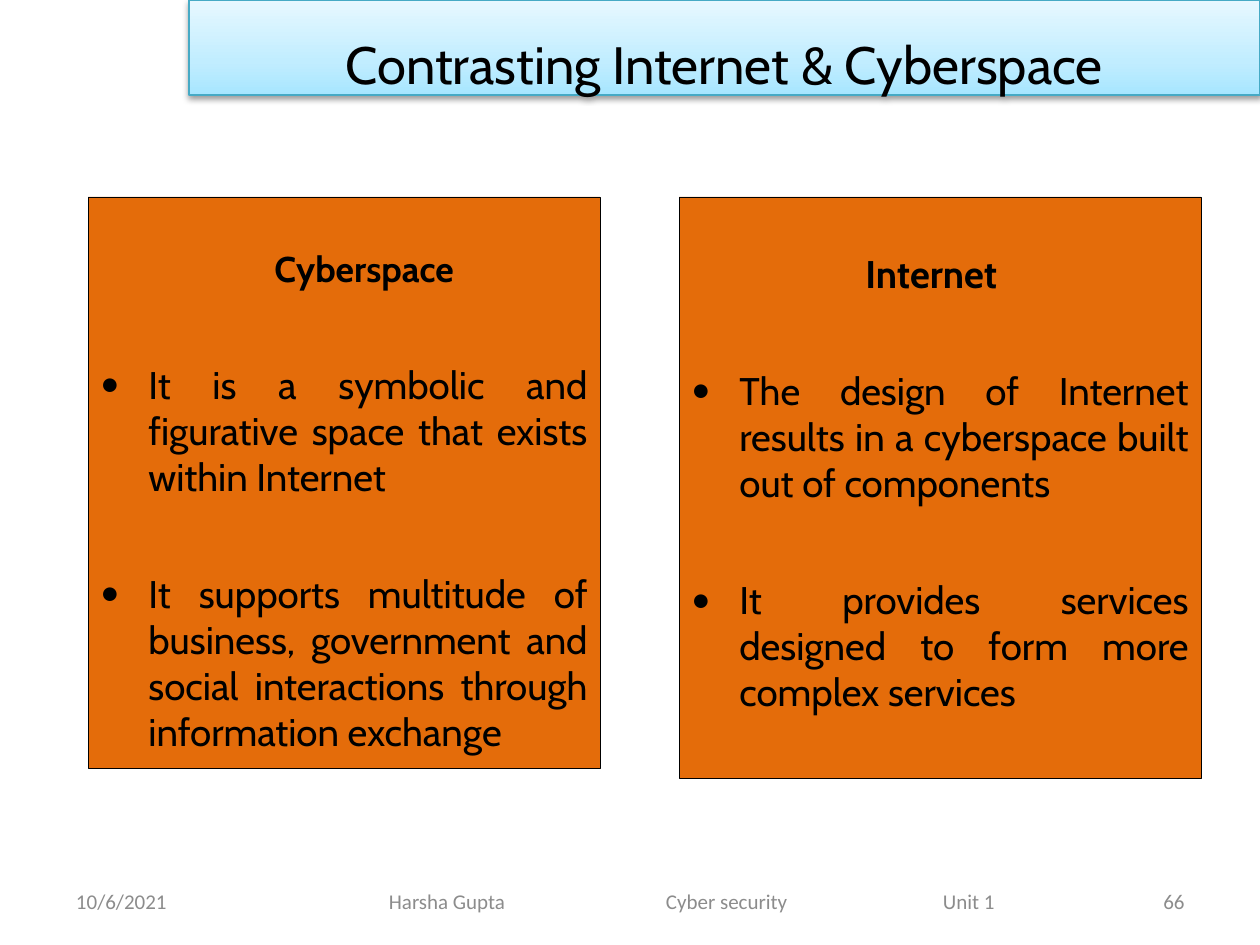
"""Build a slide that contrasts cyberspace with the Internet."""
from copy import deepcopy

from lxml import etree
from pptx import Presentation
from pptx.dml.color import RGBColor
from pptx.enum.shapes import MSO_SHAPE as Shape
from pptx.enum.text import MSO_ANCHOR as Anchor, MSO_AUTO_SIZE as AutoSize, PP_ALIGN as Align
from pptx.oxml import parse_xml
from pptx.oxml.ns import nsdecls, qn
from pptx.util import Emu, Pt

COLORS = {
    "ink": "000000",
    "card": "E46C0A",
    "footer": "8C8C8C",
    "banner_line": "46AAC5",
}
BANNER_STOPS = [(0, "A7E6FF"), (0.35, "C1EDFF"), (1, "E7F8FF")]
PX_PER_INCH = 126


def px(length):
    return Emu(round(length * 914400 / PX_PER_INCH))


def rgb(name):
    return RGBColor.from_string(COLORS[name])


class SlideBuilder:
    def __init__(self, deck):
        self.slide = deck.slides.add_slide(deck.slide_layouts[5])
        self.heading_font = "Cabin"
        self.footer_font = "Calibri"

    def style(self, paragraph, size, font, color="ink", bold=False):
        for run in paragraph.runs:
            run.font.size = Pt(size)
            run.font.name = font
            run.font.bold = bold
            run.font.color.rgb = rgb(color)

    def outline(self, shape, color, width):
        shape.line.color.rgb = rgb(color)
        shape.line.width = Pt(width)

    def banner(self, text, left, top, width, height):
        title = self.slide.shapes.title
        title.left, title.top, title.width, title.height = map(px, (left, top, width, height))
        title.fill.gradient()
        title.fill.gradient_angle = 90
        properties = title._element.spPr
        stop_list = properties.find(qn("a:gradFill")).find(qn("a:gsLst"))
        stop_list.append(deepcopy(stop_list[0]))
        for stop, (position, color) in zip(title.fill.gradient_stops, BANNER_STOPS):
            stop.position = position
            stop.color.rgb = RGBColor.from_string(color)
        self.outline(title, "banner_line", 0.75)
        properties.append(parse_xml(
            f'<a:effectLst {nsdecls("a")}><a:outerShdw blurRad="40000" dist="20000" '
            'dir="5400000" rotWithShape="0"><a:srgbClr val="000000">'
            '<a:alpha val="38000"/></a:srgbClr></a:outerShdw></a:effectLst>'))
        frame = title.text_frame
        frame.text = text
        frame.word_wrap = True
        frame.auto_size = AutoSize.NONE
        frame.vertical_anchor = Anchor.MIDDLE
        heading = frame.paragraphs[0]
        heading.alignment = Align.CENTER
        heading.line_spacing = 1.5
        self.style(heading, 30, self.heading_font)

    def card(self, heading, heading_size, points, box, text_top):
        card = self.slide.shapes.add_shape(Shape.RECTANGLE, *map(px, box))
        card.shadow.inherit = False
        card.fill.solid()
        card.fill.fore_color.rgb = rgb("card")
        self.outline(card, "ink", 0.25)
        frame = card.text_frame
        frame.word_wrap = True
        frame.vertical_anchor = Anchor.TOP
        frame.margin_top = px(text_top)
        frame.text = "\n".join([heading, *points])
        title, *bullets = frame.paragraphs
        title.alignment = Align.LEFT
        title.space_after = Pt(36)
        title._p.get_or_add_pPr().set("marL", str(px(174)))
        self.style(title, heading_size, self.heading_font, bold=True)
        for bullet in bullets:
            self.bullet(bullet)

    def bullet(self, paragraph):
        paragraph.alignment = Align.JUSTIFY
        paragraph.space_before = Pt(4.4)
        paragraph.space_after = Pt(36)
        properties = paragraph._p.get_or_add_pPr()
        properties.set("marL", str(px(48)))
        properties.set("indent", str(-px(48)))
        etree.SubElement(properties, qn("a:buFont"), typeface=self.footer_font)
        etree.SubElement(properties, qn("a:buChar"), char="•")
        self.style(paragraph, 22, self.heading_font)

    def footer(self, text, left, width, align=Align.LEFT, inset=13, tabs=()):
        box = self.slide.shapes.add_textbox(px(left), px(876), px(width), px(50))
        frame = box.text_frame
        frame.word_wrap = True
        frame.vertical_anchor = Anchor.MIDDLE
        frame.margin_left = px(inset)
        frame.text = text
        line = frame.paragraphs[0]
        line.alignment = align
        if tabs:
            tab_list = etree.SubElement(line._p.get_or_add_pPr(), qn("a:tabLst"))
            for tab in tabs:
                etree.SubElement(tab_list, qn("a:tab"), pos=str(px(tab)), algn="l")
        self.style(line, 12, self.footer_font, "footer")


def main():
    deck = Presentation()
    deck.slide_width, deck.slide_height = px(1260), px(945)
    builder = SlideBuilder(deck)
    builder.footer("10/6/2021", 63, 294)
    builder.footer("Harsha Gupta\tCyber security\tUnit 1", 346, 693, inset=43, tabs=(277, 554))
    builder.footer("66", 903, 294, Align.RIGHT)
    builder.banner("Contrasting Internet & Cyberspace", 189, 0, 1071, 95)
    builder.card("Cyberspace", 20.4, [
        "It is a symbolic and figurative space that exists within Internet",
        "It supports multitude of business, government and social interactions "
        "through information exchange",
    ], (88, 197, 512, 571), 50)
    builder.card("Internet", 22, [
        "The design of Internet results in a cyberspace built out of components",
        "It provides services designed to form more complex services",
    ], (679, 197, 522, 581), 53)
    deck.save("out.pptx")


if __name__ == "__main__":
    main()
